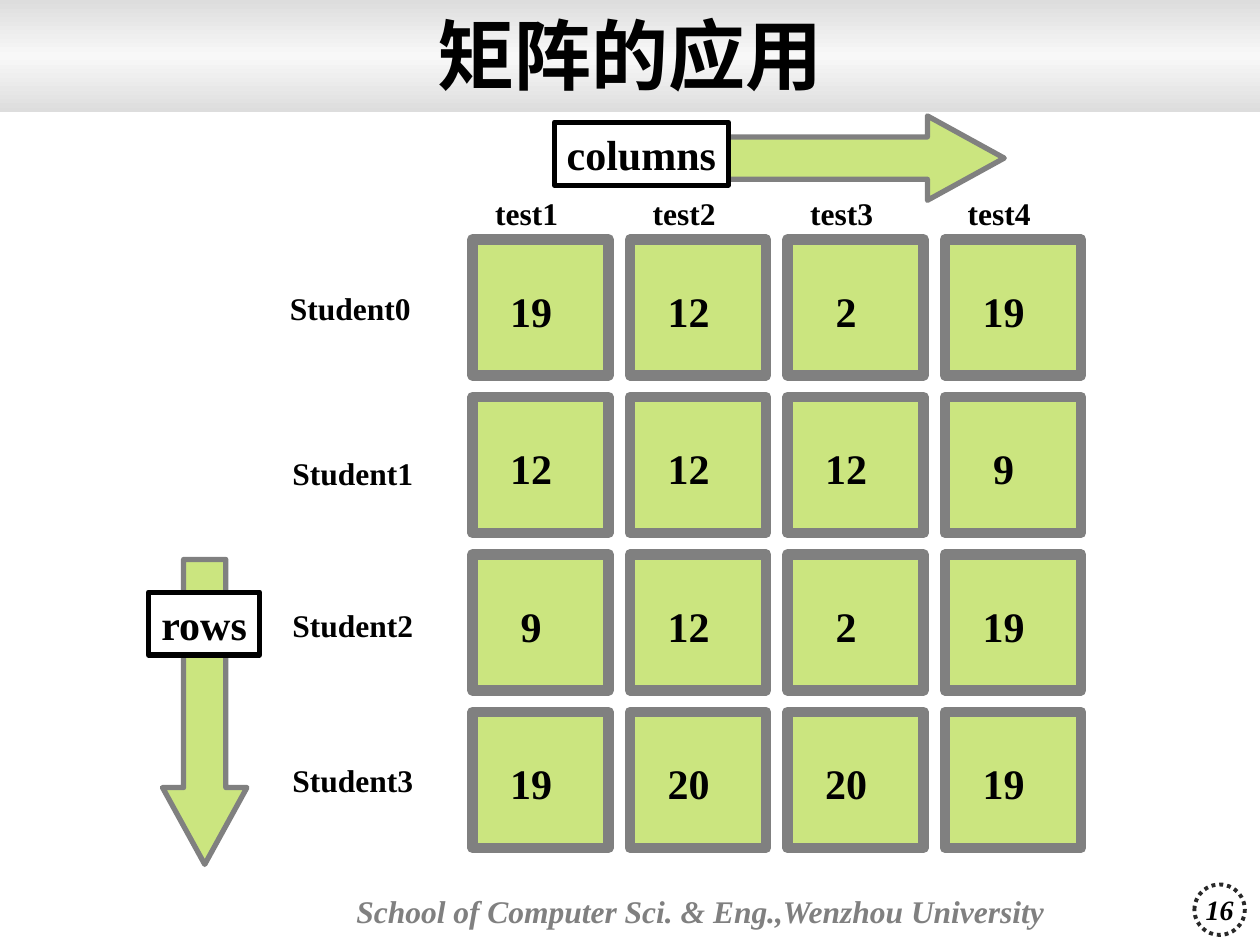
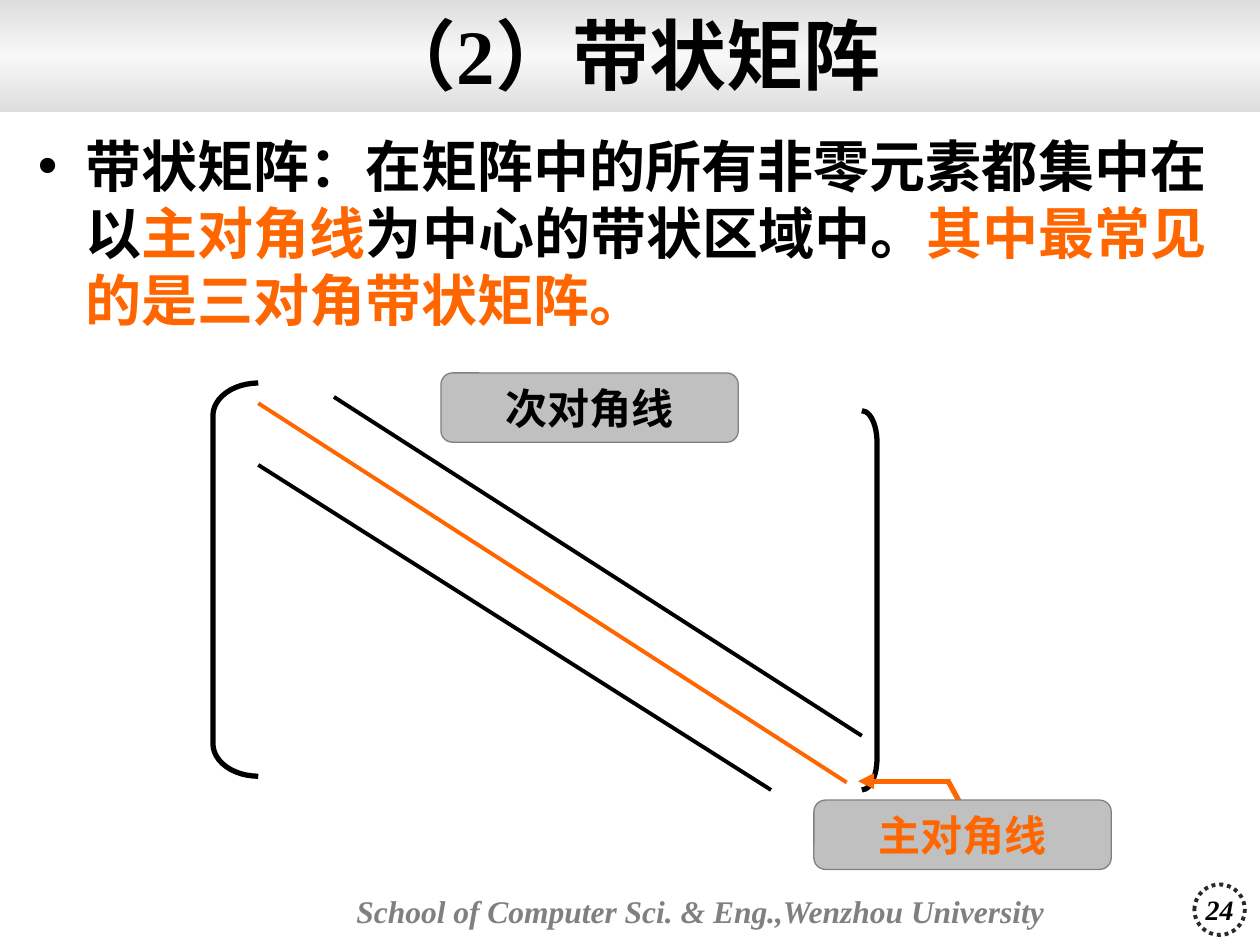
from lxml import etree
from pptx import Presentation
from pptx.dml.color import RGBColor
from pptx.enum.dml import MSO_LINE
from pptx.enum.shapes import MSO_CONNECTOR, MSO_SHAPE
from pptx.enum.text import MSO_ANCHOR, MSO_AUTO_SIZE, PP_ALIGN
from pptx.oxml.ns import qn
from pptx.util import Inches, Pt

# Shared style
LATIN, CHINESE = "Times New Roman", "Noto Sans CJK SC"
BLACK, WHITE, GRAY, SILVER = "000000", "FFFFFF", "808080", "C0C0C0"
LIME, ORANGE, DOT = "99CC00", "FF6600", "292929"
BAND_STOPS = [(0, "DDDDDD"), (50, "F8F8F8"), (100, "DDDDDD")]
FOOTER = "School of Computer Sci. & Eng.,Wenzhou University"
TITLE_ONLY, TITLE_AND_BODY = 5, 1

# Score matrix: each student with label position and scores
TESTS = ["test1", "test2", "test3", "test4"]
STUDENTS = [
    ("Student0", 2.20, 2.24, [19, 12, 2, 19]),
    ("Student1", 2.22, 3.55, [12, 12, 12, 9]),
    ("Student2", 2.22, 4.76, [9, 12, 2, 19]),
    ("Student3", 2.22, 5.99, [19, 20, 20, 19]),
]
GRID_LEFT, GRID_TOP, CELL, PITCH = 3.75, 1.9, 1.08, 1.25
DIRECTIONS = [
    ("rows", (1.18, 4.7, 0.88, 0.5), MSO_SHAPE.DOWN_ARROW, (1.29, 4.44, 0.67, 2.42)),
    ("columns", (4.4, 0.97, 1.38, 0.5), MSO_SHAPE.RIGHT_ARROW, (5.55, 0.92, 2.42, 0.67)),
]

# Band matrix
DEFINITION = [
    ("带状矩阵：在矩阵中的所有非零元素都集中在以", BLACK),
    ("主对角线", ORANGE),
    ("为中心的带状区域中。", BLACK),
    ("其中最常见的是三对角带状矩阵。", ORANGE),
]
BRACKETS = [
    (MSO_SHAPE.LEFT_BRACKET, (1.69, 3.04, 0.36, 3.12), 0.72),
    (MSO_SHAPE.RIGHT_BRACKET, (6.84, 3.26, 0.12, 3.01), 2.08),
]
DIAGONALS = [
    ((2.05, 3.2), (6.72, 6.21), ORANGE),
    ((2.05, 3.69), (6.12, 6.27), BLACK),
    ((2.65, 3.15), (6.84, 5.84), BLACK),
]
DIAGONAL_LABELS = [
    ("主对角线", (6.46, 6.35, 2.36, 0.55), ORANGE),
    ("次对角线", (3.5, 2.96, 2.36, 0.55), BLACK),
]


def color(code):
    return RGBColor.from_string(code)


def style(font, size, code=BLACK, italic=False):
    font.size, font.bold, font.italic = Pt(size), True, italic
    font.color.rgb = color(code)
    font.name = LATIN
    etree.SubElement(font._element, qn("a:ea"), typeface=CHINESE)


def write(box, text, size, code=BLACK, italic=False, align=PP_ALIGN.CENTER, wrap=False):
    frame = box.text_frame
    frame.auto_size = MSO_AUTO_SIZE.NONE
    frame.word_wrap = wrap
    frame.vertical_anchor = MSO_ANCHOR.MIDDLE
    para = frame.paragraphs[0]
    para.text, para.alignment = text, align
    style(para.font, size, code, italic)


def place(box, left, top, width, height):
    box.left, box.top = Inches(left), Inches(top)
    box.width, box.height = Inches(width), Inches(height)


def add_label(page, text, at, size, **options):
    write(page.shapes.add_textbox(*map(Inches, at)), text, size, **options)


def add_box(page, kind, at, fill=None, line=None, width=1, opacity=100):
    box = page.shapes.add_shape(kind, *map(Inches, at))
    box.shadow.inherit = False
    if fill:
        box.fill.solid()
        box.fill.fore_color.rgb = color(fill)
        if opacity < 100:
            tint = box._element.spPr.find(".//" + qn("a:srgbClr"))
            etree.SubElement(tint, qn("a:alpha"), val=str(opacity * 1000))
    else:
        box.fill.background()
    if line:
        box.line.color.rgb = color(line)
        box.line.width = Pt(width)
    else:
        box.line.fill.background()
    return box


def add_line(page, start, end, code, width):
    line = page.shapes.add_connector(MSO_CONNECTOR.STRAIGHT, *map(Inches, start + end))
    line.line.color.rgb = color(code)
    line.line.width = Pt(width)
    etree.SubElement(line._element.spPr, qn("a:effectLst"))
    return line


def add_page(deck, layout, title, number):
    page = deck.slides.add_slide(deck.slide_layouts[layout])

    # Title band, behind everything else
    band = add_box(page, MSO_SHAPE.RECTANGLE, (0, 0, 10, 0.89))
    band.fill.gradient()
    band.fill.gradient_angle = 90
    stops = band._element.spPr.find(".//" + qn("a:gsLst"))
    stops.clear()
    for position, code in BAND_STOPS:
        stop = etree.SubElement(stops, qn("a:gs"), pos=str(position * 1000))
        etree.SubElement(stop, qn("a:srgbClr"), val=code)
    page.shapes._spTree.insert(2, band._element)

    # Title, footer and page number
    place(page.shapes.title, 0, -0.02, 10, 0.9)
    write(page.shapes.title, title, 44, wrap=True)
    add_label(page, FOOTER, (2.73, 6.9, 6.04, 0.66), 18, code=GRAY, italic=True,
              align=PP_ALIGN.LEFT, wrap=True)
    badge = add_box(page, MSO_SHAPE.OVAL, (9.48, 7.02, 0.4, 0.4), line=DOT, width=2.25)
    badge.line.dash_style = MSO_LINE.ROUND_DOT
    write(badge, str(number), 16, italic=True)
    return page


def build_score_matrix(deck):
    page = add_page(deck, TITLE_ONLY, "矩阵的应用", 16)

    # Direction arrows with their name boxes
    for name, name_at, arrow_kind, arrow_at in DIRECTIONS:
        arrow = add_box(page, arrow_kind, arrow_at, LIME, GRAY, 3, opacity=50)
        arrow.adjustments[1] = 0.91
        write(add_box(page, MSO_SHAPE.RECTANGLE, name_at, WHITE, BLACK, 3), name, 24)

    # Row and column labels
    for column, test in enumerate(TESTS):
        add_label(page, test, (3.83 + column * PITCH, 1.49, 0.7, 0.4), 18)
    for student, left, top, _ in STUDENTS:
        add_label(page, student, (left, top, 1.16, 0.4), 18)

    # Score cells
    for row, (_, _, _, scores) in enumerate(STUDENTS):
        for column, score in enumerate(scores):
            at = (GRID_LEFT + column * PITCH, GRID_TOP + row * PITCH, CELL, CELL)
            cell = add_box(page, MSO_SHAPE.RECTANGLE, at, LIME, GRAY, 6, opacity=50)
            write(cell, str(score), 24)
            cell.text_frame.margin_right = Inches(0.25)
            cell.text_frame.margin_top = Inches(0.1)


def build_band_matrix(deck):
    page = add_page(deck, TITLE_AND_BODY, "（2）带状矩阵", 24)

    # Brackets and diagonals
    for kind, at, curve in BRACKETS:
        add_box(page, kind, at, line=BLACK, width=3).adjustments[0] = curve
    for start, end, code in DIAGONALS:
        add_line(page, start, end, code, 2.25)

    # Pointer to the main diagonal
    pointer = add_line(page, (7.53, 6.2), (6.81, 6.2), ORANGE, 3)
    etree.SubElement(pointer.line._get_or_add_ln(), qn("a:tailEnd"), type="triangle")
    add_line(page, (7.52, 6.19), (7.64, 6.41), ORANGE, 3)

    for text, at, code in DIAGONAL_LABELS:
        label = add_box(page, MSO_SHAPE.ROUNDED_RECTANGLE, at, SILVER, GRAY, 0.75)
        write(label, text, 24, code)

    # Definition
    body = page.placeholders[1]
    place(body, 0.2, 0.99, 9.61, 1.81)
    body.text_frame.auto_size = MSO_AUTO_SIZE.NONE
    para = body.text_frame.paragraphs[0]
    properties = para._p.get_or_add_pPr()
    properties.set("marL", str(Inches(0.38)))
    properties.set("indent", str(Inches(-0.38)))
    para.space_before = Pt(0)
    bullet_color = etree.SubElement(properties, qn("a:buClr"))
    etree.SubElement(bullet_color, qn("a:srgbClr"), val=BLACK)
    etree.SubElement(properties, qn("a:buChar"), char="•")
    style(para.font, 32)
    for text, code in DEFINITION:
        span = para.add_run()
        span.text = text
        span.font.color.rgb = color(code)


def main():
    deck = Presentation()
    deck.slide_width, deck.slide_height = Inches(10), Inches(7.5)
    build_score_matrix(deck)
    build_band_matrix(deck)
    deck.save("out.pptx")


if __name__ == "__main__":
    main()
